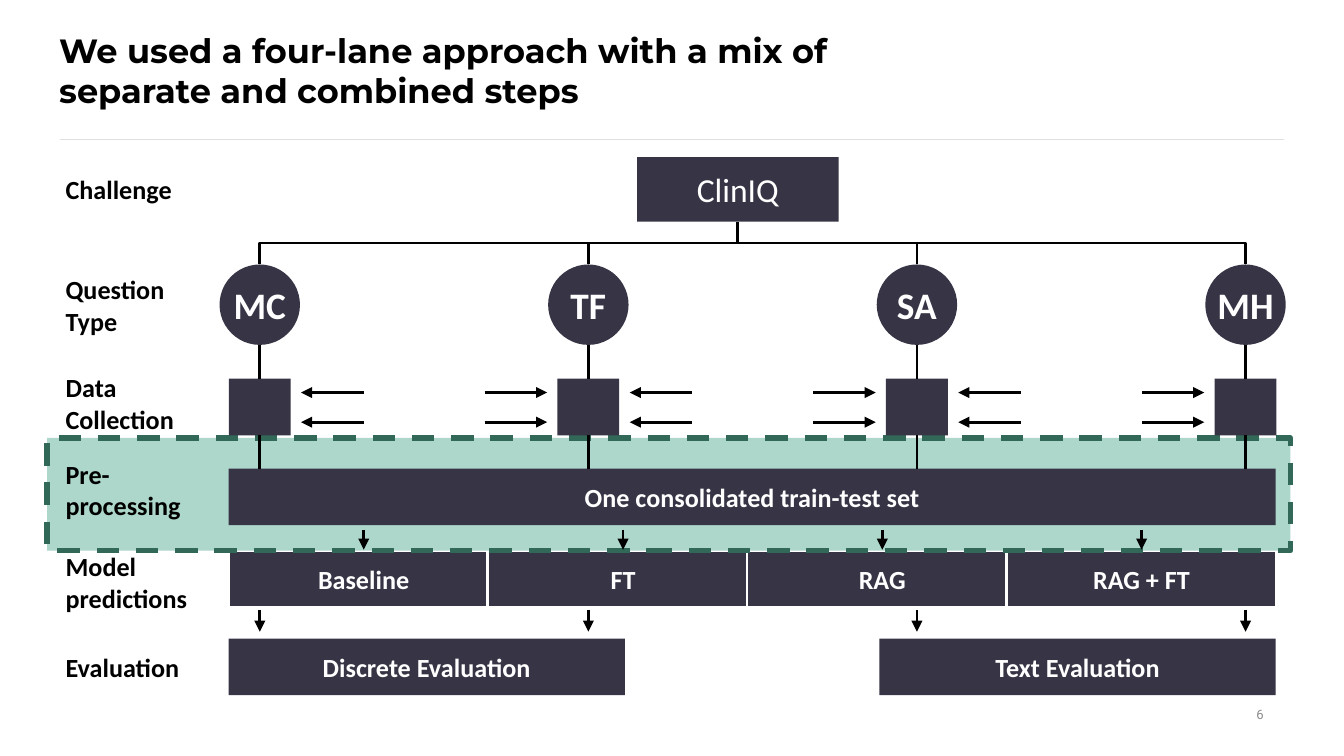
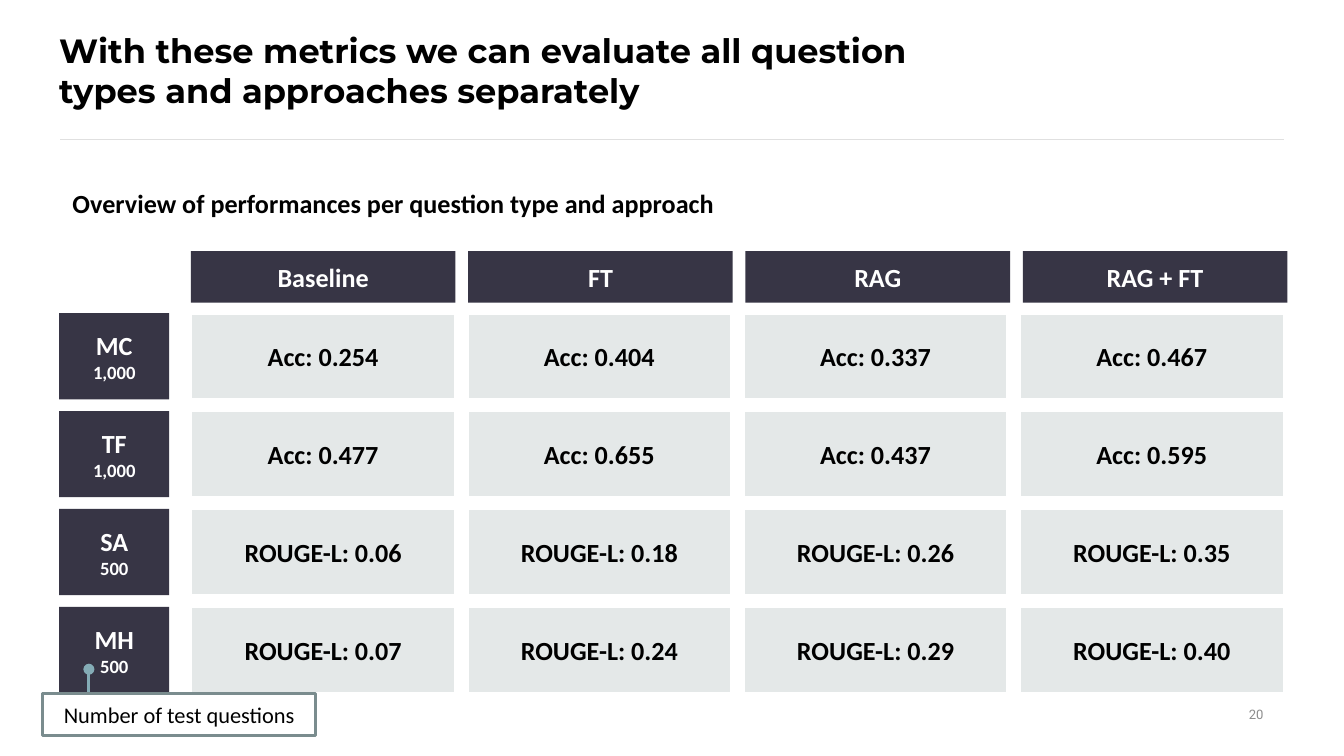
from dataclasses import dataclass
from typing import Optional

from lxml import etree
from pptx import Presentation
from pptx.dml.color import RGBColor
from pptx.enum.dml import MSO_LINE
from pptx.enum.shapes import MSO_CONNECTOR, MSO_SHAPE
from pptx.enum.text import MSO_ANCHOR, PP_ALIGN
from pptx.oxml.ns import qn
from pptx.util import Cm, Pt

RECT, OVAL = MSO_SHAPE.RECTANGLE, MSO_SHAPE.OVAL
STRAIGHT, ELBOW = MSO_CONNECTOR.STRAIGHT, MSO_CONNECTOR.ELBOW
LEFT, CENTER, RIGHT = PP_ALIGN.LEFT, PP_ALIGN.CENTER, PP_ALIGN.RIGHT
TOP, MIDDLE = MSO_ANCHOR.TOP, MSO_ANCHOR.MIDDLE
DASH = MSO_LINE.DASH

COLORS = {
    "dark": "373545", "white": "FFFFFF", "black": "000000", "cell": "E4E8E8",
    "band": "ACD7CA", "band_edge": "316857", "divider": "E0E0E0",
    "page": "8C8C8C", "callout": "7A8C8E", "pointer": "84ACB6",
}


@dataclass(frozen=True)
class Area:
    """A rectangle in centimetres."""
    left: float
    top: float
    width: float
    height: float


@dataclass(frozen=True)
class TextStyle:
    size: float = 14
    color: str = "white"
    bold: bool = True
    font: str = "Calibri"
    align: PP_ALIGN = CENTER
    anchor: MSO_ANCHOR = MIDDLE
    inset: bool = False
    later_size: Optional[float] = None  # size of paragraphs after the first


@dataclass(frozen=True)
class Look:
    fill: str = "dark"
    edge: Optional[str] = None
    weight: float = 1.5
    dashed: bool = False


@dataclass(frozen=True)
class RowLabel:
    text: str
    top: float


@dataclass(frozen=True)
class ResultRow:
    kind: str
    questions: str
    metric: str
    scores: tuple[str, ...]


ON_DARK = TextStyle()
LABEL = TextStyle(color="black", align=LEFT, inset=True)
CELL = TextStyle(color="black")
TITLE = TextStyle(18, "black", font="Montserrat", align=LEFT, anchor=TOP)
PAGE_NUMBER = TextStyle(7, "page", False, "Roboto", RIGHT, inset=True)
DARK = Look()
WHITE_EDGED = Look(edge="white")

APPROACHES = ("Baseline", "FT", "RAG", "RAG + FT")


# Drawing helpers
def rgb(name: str) -> RGBColor:
    return RGBColor.from_string(COLORS[name])


def place(area: Area) -> tuple:
    return Cm(area.left), Cm(area.top), Cm(area.width), Cm(area.height)


def write(shape, paragraphs: tuple[str, ...], style: TextStyle) -> None:
    frame = shape.text_frame
    frame.word_wrap = True
    frame.vertical_anchor = style.anchor
    side, end = (Cm(0.25), Cm(0.13)) if style.inset else (0, 0)
    frame.margin_left = frame.margin_right = side
    frame.margin_top = frame.margin_bottom = end
    for index, text in enumerate(paragraphs):
        para = frame.add_paragraph() if index else frame.paragraphs[0]
        para.text = text
        para.alignment = style.align
        size = style.later_size if index and style.later_size else style.size
        for span in para.runs:
            span.font.name = style.font
            span.font.size = Pt(size)
            span.font.bold = style.bold
            span.font.color.rgb = rgb(style.color)


def add_text(page, area: Area, text: str, style: TextStyle) -> None:
    write(page.shapes.add_textbox(*place(area)), (text,), style)


def add_block(page, area: Area, look: Look = DARK, text: tuple[str, ...] = (),
              style: TextStyle = ON_DARK, form: MSO_SHAPE = RECT) -> None:
    block = page.shapes.add_shape(form, *place(area))
    block.shadow.inherit = False
    block.fill.solid()
    block.fill.fore_color.rgb = rgb(look.fill)
    if look.edge:
        block.line.color.rgb = rgb(look.edge)
        block.line.width = Pt(look.weight)
        if look.dashed:
            block.line.dash_style = DASH
    else:
        block.line.fill.background()
    if text:
        write(block, text, style)


def add_line(page, start: tuple[float, float], end: tuple[float, float],
             color: str = "black", weight: float = 1.5, head: str = "",
             tail: str = "", form: MSO_CONNECTOR = STRAIGHT):
    line = page.shapes.add_connector(
        form, Cm(start[0]), Cm(start[1]), Cm(end[0]), Cm(end[1]))
    line.line.color.rgb = rgb(color)
    line.line.width = Pt(weight)
    properties = line.element.spPr
    outline = properties.find(qn("a:ln"))
    for tag, kind in (("a:headEnd", head), ("a:tailEnd", tail)):
        if kind:
            etree.SubElement(outline, qn(tag)).set("type", kind)
    etree.SubElement(properties, qn("a:effectLst"))
    return line


def add_arrow(page, start: tuple[float, float], end: tuple[float, float]) -> None:
    add_line(page, start, end, tail="triangle")


def add_branch(page, lane: float, lane_top: float, hub: float, hub_bottom: float) -> None:
    """Elbow that leaves a lane upwards and reaches the hub from below."""
    middle_x, middle_y = (lane + hub) / 2, (lane_top + hub_bottom) / 2
    half_rise, half_run = (lane_top - hub_bottom) / 2, abs(hub - lane) / 2
    # The frame lies on its side, so it is turned a quarter towards the hub.
    side = 1 if lane < hub else -1
    branch = add_line(page, (middle_x + side * half_rise, middle_y + half_run),
                      (middle_x - side * half_rise, middle_y - half_run), form=ELBOW)
    quarter = 90 if lane < hub else 270
    branch.element.spPr.find(qn("a:xfrm")).set("rot", str(quarter * 60000))


def add_page(deck, title: str, number: int):
    page = deck.slides.add_slide(deck.slide_layouts[6])
    add_line(page, (24.26, 2.64), (1.14, 2.64), "divider", 0.75)
    add_text(page, Area(1.12, 0.56, 16.94, 0.99), title, TITLE)
    add_text(page, Area(18.21, 13.13, 5.92, 0.76), str(number), PAGE_NUMBER)
    return page


# Slide: four-lane approach
def build_approach(deck) -> None:
    page = add_page(deck, "We used a four-lane approach with a mix of "
                          "separate and combined steps", 6)
    lanes = {kind: 4.91 + 6.21 * i for i, kind in enumerate(("MC", "TF", "SA", "MH"))}
    hub, hub_bottom = 13.94, 4.19
    circle, circle_top = 1.52, 5.0
    flow_left, flow_width, bar = 4.32, 19.79, 1.07
    collect_top, train_top, model_top, evaluation_top = 7.16, 8.86, 10.41, 12.07
    model_width, model_pitch = 5.11, 4.9

    # Model boxes, partly under the highlighted band
    for i, approach in enumerate(APPROACHES):
        add_block(page, Area(flow_left + model_pitch * i, model_top, model_width, bar),
                  WHITE_EDGED, (approach,))
    add_block(page, Area(0.89, 8.28, 23.5, 2.13), Look("band", "band_edge", 3, True))

    # Row labels
    for label in (RowLabel("Challenge", 2.97), RowLabel("Question\nType", 5.16),
                  RowLabel("Data\nCollection", 7.01), RowLabel("Pre-\nprocessing", 8.64),
                  RowLabel("Model predictions", 10.39), RowLabel("Evaluation", 11.99)):
        add_text(page, Area(0.99, label.top, 3.81, 1.22), label.text, LABEL)

    # Challenge and shared blocks
    add_block(page, Area(12.04, 2.97, 3.81, 1.22), text=("ClinIQ",),
              style=TextStyle(18, bold=False))
    add_block(page, Area(flow_left, train_top, flow_width, bar),
              text=("One consolidated train-test set",))
    evaluation_width = 7.49
    for left, text in ((flow_left, "Discrete Evaluation"),
                       (flow_left + flow_width - evaluation_width, "Text Evaluation")):
        add_block(page, Area(left, evaluation_top, evaluation_width, bar), text=(text,))

    # Lanes
    collect_width = 1.17
    for i, (kind, x) in enumerate(lanes.items()):
        add_branch(page, x, circle_top, hub, hub_bottom)
        add_block(page, Area(x - circle / 2, circle_top, circle, circle),
                  text=(kind,), style=TextStyle(20), form=OVAL)
        add_block(page, Area(x - collect_width / 2, collect_top, collect_width, bar))
        add_line(page, (x, collect_top), (x, circle_top + circle))
        add_line(page, (x, train_top), (x, collect_top + bar))
        add_arrow(page, (x, 11.53), (x, 11.94))
        sides = [side for side, shown in ((-1, i > 0), (1, i < len(lanes) - 1)) if shown]
        for side in sides:
            for y in (7.42, 7.98):
                add_arrow(page, (x + side * 1.96, y), (x + side * 0.78, y))

    # Arrows into the models
    for i in range(len(APPROACHES)):
        x = flow_left + model_pitch * i + model_width / 2
        add_arrow(page, (x, 10.01), (x, 10.39))


# Slide: results per question type and approach
def build_results(deck) -> None:
    page = add_page(deck, "With these metrics we can evaluate all question "
                          "types and approaches separately", 20)
    add_text(page, Area(1.12, 3.35, 15.62, 0.99),
             "Overview of performances per question type and approach", LABEL)
    rows = (
        ResultRow("MC", "1,000", "Acc", ("0.254", "0.404", "0.337", "0.467")),
        ResultRow("TF", "1,000", "Acc", ("0.477", "0.655", "0.437", "0.595")),
        ResultRow("SA", "500", "ROUGE-L", ("0.06", "0.18", "0.26", "0.35")),
        ResultRow("MH", "500", "ROUGE-L", ("0.07", "0.24", "0.29", "0.40")),
    )
    grid_left, column_width, row_height = 3.61, 5.0, 1.63

    # Column heads
    for i, approach in enumerate(APPROACHES):
        add_block(page, Area(grid_left + 5.24 * i, 4.75, column_width, 0.97),
                  text=(approach,))

    # Row heads and scores
    for i, row in enumerate(rows):
        top = 5.92 + 1.85 * i
        add_block(page, Area(1.12, top, 2.08, row_height),
                  text=(row.kind, row.questions), style=TextStyle(later_size=10))
        for j, score in enumerate(row.scores):
            add_block(page, Area(grid_left + 5.22 * j, top, column_width, row_height),
                      Look("cell", "white"), (f"{row.metric}: {score}",), CELL)

    # Callout
    add_line(page, (1.68, 12.65), (1.68, 13.11), "pointer", head="oval")
    add_block(page, Area(0.81, 13.11, 5.16, 0.79), Look("white", "callout"),
              ("Number of test questions",),
              TextStyle(12, "black", False, inset=True))


def main() -> None:
    deck = Presentation()
    deck.slide_width, deck.slide_height = Cm(25.4), Cm(14.29)
    build_approach(deck)
    build_results(deck)
    deck.save("out.pptx")


if __name__ == "__main__":
    main()
